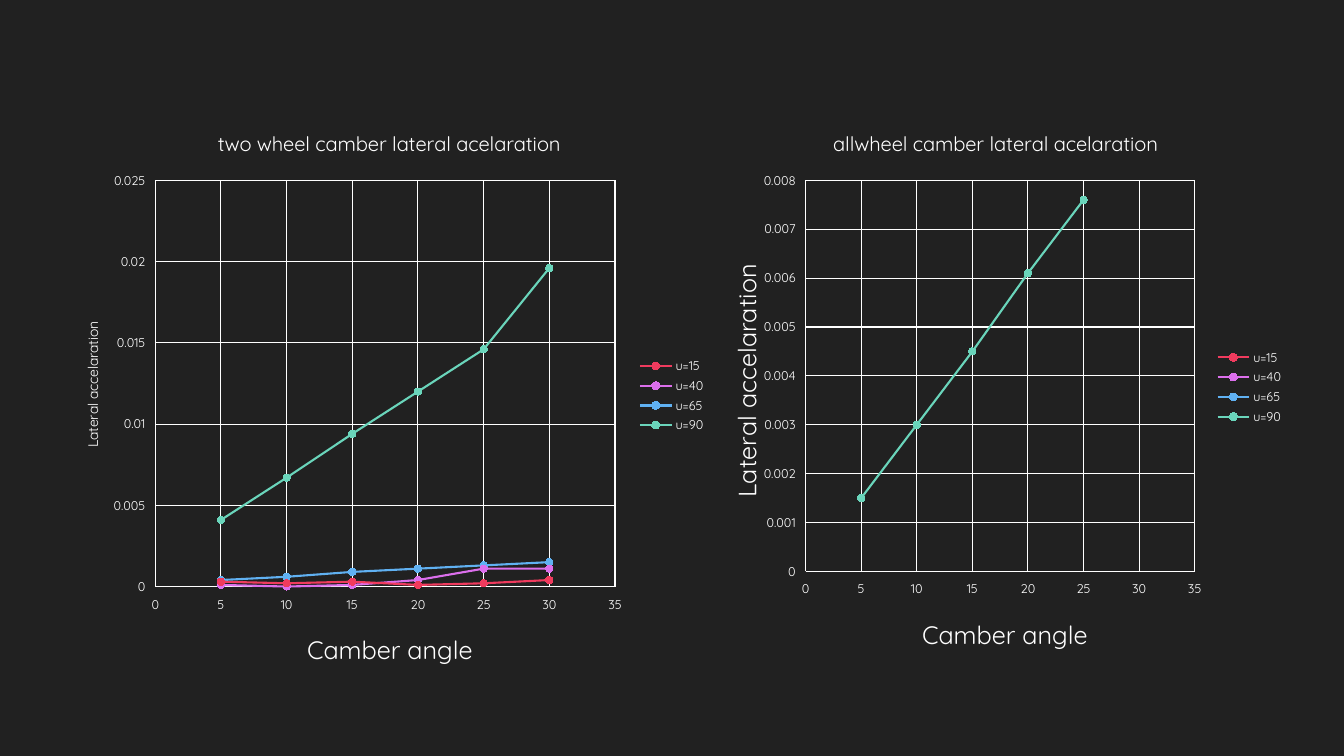
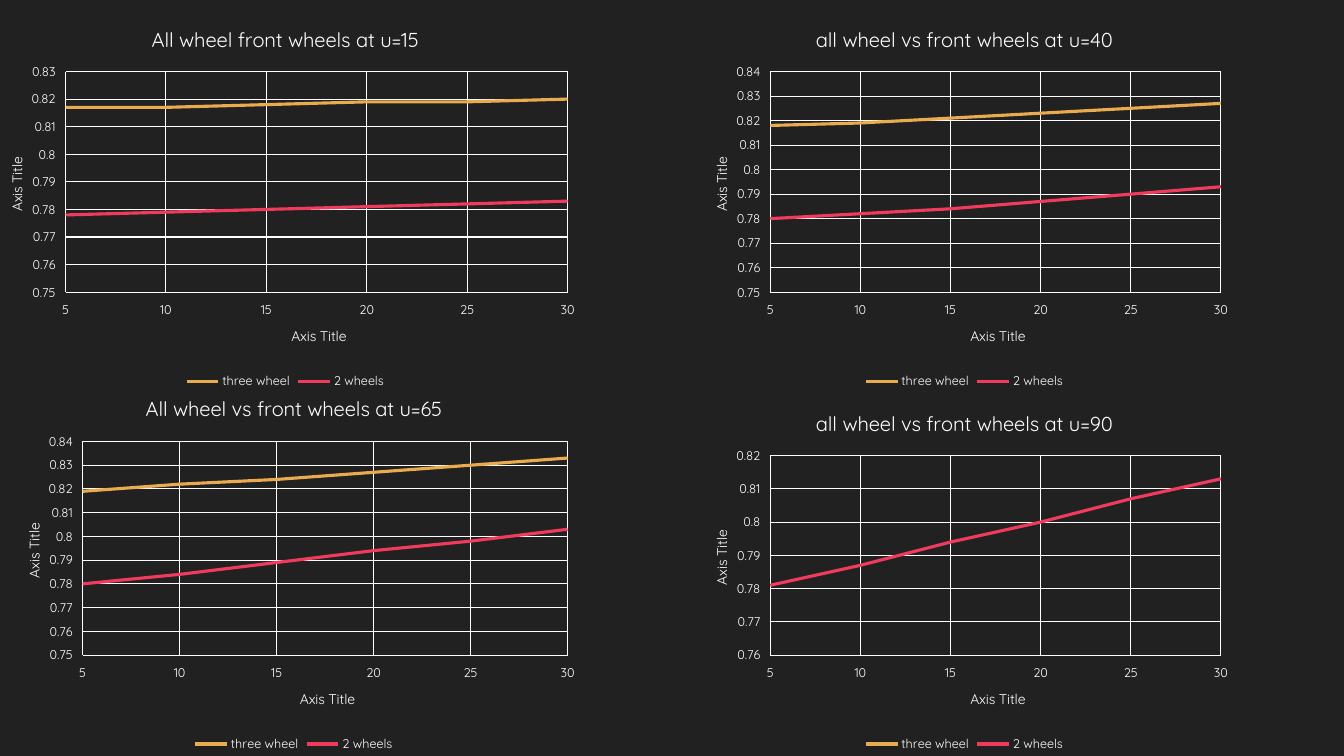
"""Builds two slides of camber charts on a dark background."""
from lxml.etree import SubElement
from pptx import Presentation
from pptx.chart.data import XyChartData
from pptx.dml.color import RGBColor
from pptx.enum.chart import XL_CHART_TYPE as Kind
from pptx.enum.chart import XL_LEGEND_POSITION as LegendSide
from pptx.enum.chart import XL_MARKER_STYLE as Marker
from pptx.enum.chart import XL_TICK_LABEL_POSITION as Labels
from pptx.enum.chart import XL_TICK_MARK as Tick
from pptx.oxml.ns import qn
from pptx.util import Inches, Pt

DARK = RGBColor(0x21, 0x21, 0x21)
WHITE = RGBColor(0xFF, 0xFF, 0xFF)
RED = RGBColor(0xF0, 0x3B, 0x5E)
VIOLET = RGBColor(0xDC, 0x6F, 0xEC)
BLUE = RGBColor(0x60, 0xB1, 0xF2)
GREEN = RGBColor(0x6A, 0xD5, 0xBB)
AMBER = RGBColor(0xE8, 0xAB, 0x4E)
FONT = "Quicksand"

ANGLES = [5, 10, 15, 20, 25, 30]
SPEEDS = {"u=15": RED, "u=40": VIOLET, "u=65": BLUE, "u=90": GREEN}
WHEELS = {"three wheel": AMBER, "2 wheels": RED}
TITLE_WIDTHS = {"Camber angle": 0.91, "Lateral accelaration": 1.28, "Axis Title": 0.55}
LINE_HEIGHT = 0.17
NO_DATA = [None] * len(ANGLES)

CAMBER_CHARTS = [
    dict(title="two wheel camber lateral acelaration", box=(0.62, 1.08, 6.48, 5.69),
         plot=(1.54, 1.79, 4.56, 4.03), y_range=(0, 0.025, 0.005), y_size=10,
         rows=[[0.0003, 0.0002, 0.0003, 0.0001, 0.0002, 0.0004],
               [0.0001, 0, 0.0001, 0.0004, 0.0011, 0.0011],
               [0.0004, 0.0006, 0.0009, 0.0011, 0.0013, 0.0015],
               [0.0041, 0.0067, 0.0094, 0.012, 0.0146, 0.0196]]),
    dict(title="allwheel camber lateral acelaration", box=(6.92, 1.08, 5.91, 5.52),
         plot=(7.99, 1.79, 3.86, 3.88), y_range=(0, 0.008, 0.001), y_size=18,
         rows=[NO_DATA, NO_DATA, NO_DATA,
               [0.0015, 0.003, 0.0045, 0.0061, 0.0076, None]]),
]
WHEEL_CHARTS = [
    dict(title="All wheel front wheels at u=15", box=(-0.17, 0.08, 6, 3.82),
         plot=(0.65, 0.71, 4.98, 2.19), y_range=(0.75, 0.83, 0.01),
         rows=[[0.817, 0.817, 0.818, 0.819, 0.819, 0.82],
               [0.778, 0.779, 0.78, 0.781, 0.782, 0.783]]),
    dict(title="all wheel vs front wheels at u=40", box=(6.83, 0.08, 5.47, 3.82),
         plot=(7.64, 0.71, 4.47, 2.19), y_range=(0.75, 0.84, 0.01),
         rows=[[0.818, 0.819, 0.821, 0.823, 0.825, 0.827],
               [0.78, 0.782, 0.784, 0.787, 0.79, 0.793]]),
    dict(title="All wheel vs front wheels at u=65", box=(0, 3.75, 5.83, 3.75),
         plot=(0.82, 4.38, 4.81, 2.12), y_range=(0.75, 0.84, 0.01),
         rows=[[0.819, 0.822, 0.824, 0.827, 0.83, 0.833],
               [0.78, 0.784, 0.789, 0.794, 0.798, 0.803]]),
    dict(title="all wheel vs front wheels at u=90", box=(6.83, 3.9, 5.47, 3.6),
         plot=(7.64, 4.52, 4.47, 1.98), y_range=(0.76, 0.82, 0.01),
         rows=[[0.821, 0.824, 0.828, 0.832, 0.836, 0.84],
               [0.781, 0.787, 0.794, 0.8, 0.807, 0.813]]),
]


def style_font(font, size, color=WHITE):
    font.name = FONT
    font.size = Pt(size)
    font.bold = False
    font.color.rgb = color


def write_text(frame, text, size=10, color=WHITE):
    frame.text = text
    style_font(frame.paragraphs[0].runs[0].font, size, color)


def set_layout(parent, index, **settings):
    for old in parent.findall(qn("c:layout")):
        parent.remove(old)
    layout = parent.makeelement(qn("c:layout"), {})
    parent.insert(index, layout)
    manual = SubElement(layout, qn("c:manualLayout"))
    for name, value in settings.items():
        SubElement(manual, qn(f"c:{name}"), val=str(value))


class Deck:
    """Holds the shared style and the slide being filled."""

    def __init__(self):
        self.prs = Presentation()
        self.prs.slide_width, self.prs.slide_height = Inches(13.33), Inches(7.5)
        self.slide = None

    def add_slide(self):
        self.slide = self.prs.slides.add_slide(self.prs.slide_layouts[6])
        self.slide.background.fill.solid()
        self.slide.background.fill.fore_color.rgb = DARK

    def add_axis(self, axis, limits, title, size):
        axis.minimum_scale, axis.maximum_scale, axis.major_unit = limits
        axis.major_tick_mark = axis.minor_tick_mark = Tick.NONE
        axis.tick_label_position = Labels.LOW
        axis.has_major_gridlines = True
        for line in (axis.format.line, axis.major_gridlines.format.line):
            line.color.rgb = WHITE
            line.width = Pt(0.75)
        style_font(axis.tick_labels.font, 9)
        write_text(axis.axis_title.text_frame, title, size=size)

    def place_parts(self, chart, box, plot, titles, gaps):
        left, top, width, height = plot
        centers = [(left + width / 2, top + height + gaps[0]),
                   (left - gaps[1], top + height / 2)]
        set_layout(chart.element.xpath(".//c:plotArea")[0], 0, layoutTarget="inner",
                   xMode="edge", yMode="edge",
                   x=(left - box[0]) / box[2], y=(top - box[1]) / box[3],
                   w=width / box[2], h=height / box[3])
        elements = chart.element.xpath(".//c:valAx/c:title")
        for element, (x, y), (text, size), upright in zip(
                elements, centers, titles, (False, True)):
            extent = [TITLE_WIDTHS[text] * size / 10, LINE_HEIGHT * size / 10]
            if upright:
                extent.reverse()
            set_layout(element, 1, xMode="edge", yMode="edge",
                       x=(x - extent[0] / 2 - box[0]) / box[2],
                       y=(y - extent[1] / 2 - box[1]) / box[3])

    def add_scatter(self, title, box, plot, rows, y_range, x_range, colors,
                    titles, gaps, legend_side, line_width, markers):
        data = XyChartData()
        for name, row in zip(colors, rows):
            series = data.add_series(name)
            for angle, value in zip(ANGLES, row):
                series.add_data_point(angle, value)
        kind = Kind.XY_SCATTER_SMOOTH if markers else Kind.XY_SCATTER_SMOOTH_NO_MARKERS
        chart = self.slide.shapes.add_chart(kind, *map(Inches, box), data).chart
        for point in chart.element.xpath('.//c:pt[c:v="None"]'):
            point.getparent().remove(point)
        style_font(chart.font, 10)
        chart.has_title = True
        write_text(chart.chart_title.text_frame, title, size=14.4)
        chart.has_legend = True
        chart.legend.position = legend_side
        chart.legend.include_in_layout = False
        style_font(chart.legend.font, 9)
        axes = (chart.category_axis, chart.value_axis)
        for axis, limits, (text, size) in zip(axes, (x_range, y_range), titles):
            self.add_axis(axis, limits, text, size)
        self.place_parts(chart, box, plot, titles, gaps)
        chart.plots[0].vary_by_categories = False
        for series, color in zip(chart.plots[0].series, colors.values()):
            series.smooth = True
            series.format.line.color.rgb = color
            series.format.line.width = Pt(line_width)
            series.marker.style = Marker.CIRCLE if markers else Marker.NONE
            if markers:
                series.marker.size = 5
                series.marker.format.fill.solid()
                series.marker.format.fill.fore_color.rgb = color
                series.marker.format.line.color.rgb = color


def main():
    deck = Deck()
    deck.add_slide()
    for camber in CAMBER_CHARTS:
        y_size = camber.pop("y_size")
        deck.add_scatter(**camber, x_range=(0, 35, 5), colors=SPEEDS,
                         titles=[("Camber angle", 18), ("Lateral accelaration", y_size)],
                         gaps=(0.55, 0.66), legend_side=LegendSide.RIGHT,
                         line_width=1.5, markers=True)
    deck.add_slide()
    for wheels in WHEEL_CHARTS:
        deck.add_scatter(**wheels, x_range=(5, 30, 5), colors=WHEELS,
                         titles=[("Axis Title", 10)] * 2,
                         gaps=(0.4, 0.52), legend_side=LegendSide.BOTTOM,
                         line_width=2.25, markers=False)
    deck.prs.save("out.pptx")


if __name__ == "__main__":
    main()
